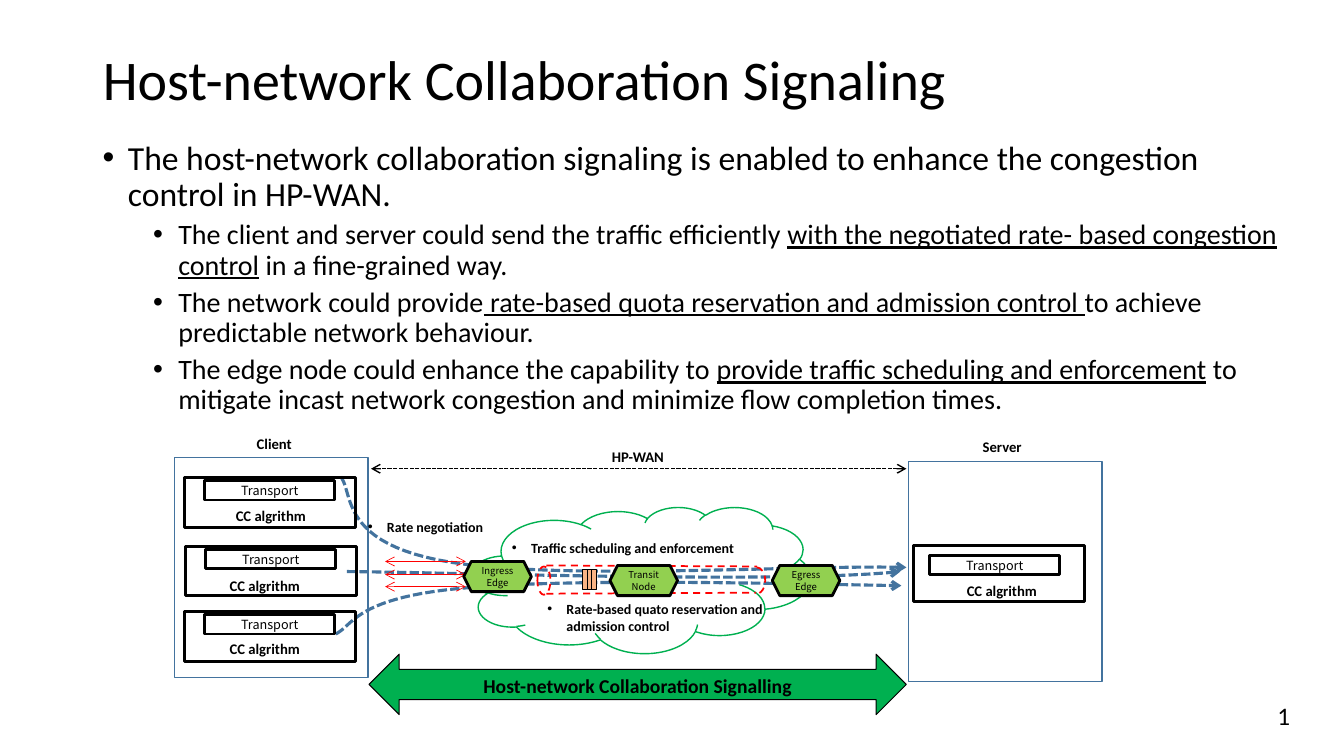
from pptx import Presentation
from pptx.dml.color import RGBColor
from pptx.enum.dml import MSO_LINE
from pptx.enum.shapes import MSO_CONNECTOR, MSO_SHAPE
from pptx.enum.text import MSO_ANCHOR, MSO_AUTO_SIZE, PP_ALIGN
from pptx.oxml.ns import qn
from pptx.util import Inches, Pt
from lxml.etree import SubElement

HUE = {"ink": "000000", "blue": "43739E", "green": "00B050",
       "lime": "92D050", "peach": "F9B485", "red": "FF0000"}
SANS, CJK = "Calibri", "Noto Sans CJK SC"
DOTS, DASH = MSO_LINE.SQUARE_DOT, MSO_LINE.DASH


class Board:
    def __init__(self, slide):
        self.slide = slide
        self.shapes = slide.shapes

    def stroke(self, line, hue, width, dash=None, head=False, tail=False):
        line.color.rgb = RGBColor.from_string(HUE[hue])
        line.width = Pt(width)
        if dash:
            line.dash_style = dash
        ln = line._get_or_add_ln()
        for tag, on in (("a:headEnd", head), ("a:tailEnd", tail)):
            if on:
                SubElement(ln, qn(tag), type="arrow")

    def style(self, para, size, bold=False, font=SANS, align=PP_ALIGN.LEFT):
        para.alignment = align
        for run in para.runs:
            run.font.name, run.font.size, run.font.bold = font, Pt(size), bold
            run.font.color.rgb = RGBColor.from_string(HUE["ink"])

    def bullet(self, para, left, hang):
        prop = para._p.get_or_add_pPr()
        prop.set("marL", str(Inches(left)))
        prop.set("indent", str(-Inches(hang)))
        SubElement(prop, qn("a:buFont"), typeface="Arial")
        SubElement(prop, qn("a:buChar"), char="•")

    def title(self, text, x, y, w, h):
        box = self.shapes.title
        box.left, box.top, box.width, box.height = map(Inches, (x, y, w, h))
        frame = box.text_frame
        frame.text = text
        frame.auto_size = MSO_AUTO_SIZE.NONE
        frame.vertical_anchor = MSO_ANCHOR.MIDDLE
        frame.paragraphs[0].line_spacing = 0.9
        self.style(frame.paragraphs[0], 40)

    def body(self, items, x, y, w, h):
        """Bulleted text; every second piece of an item is underlined."""
        frame = self.shapes.add_textbox(*map(Inches, (x, y, w, h))).text_frame
        frame.word_wrap = True
        for i, item in enumerate(items):
            para = frame.add_paragraph() if i else frame.paragraphs[0]
            for j, piece in enumerate(item):
                run = para.add_run()
                run.text = piece
                run.font.underline = j % 2 == 1
            para.line_spacing = 0.9
            para.space_before = Pt(5 if i else 10)
            self.style(para, 20 if i else 24)
            self.bullet(para, 0.75 if i else 0.25, 0.25)

    def label(self, text, x, y, w, h=0.28, size=10.5, bold=True,
              align=PP_ALIGN.LEFT, dot=False, wrap=True):
        frame = self.shapes.add_textbox(*map(Inches, (x, y, w, h))).text_frame
        frame.word_wrap = wrap
        frame.text = text
        self.style(frame.paragraphs[0], size, bold, align=align)
        if dot:
            self.bullet(frame.paragraphs[0], 0.19, 0.19)

    def shape(self, kind, x, y, w, h, hue="ink", width=2, fill=None, dash=None):
        item = self.shapes.add_shape(kind, *map(Inches, (x, y, w, h)))
        item.shadow.inherit = False
        if fill:
            item.fill.solid()
            item.fill.fore_color.rgb = RGBColor.from_string(HUE[fill])
        else:
            item.fill.background()
        self.stroke(item.line, hue, width, dash)
        return item

    def caption(self, item, text, size, font, pad, bold=False):
        frame = item.text_frame
        frame.word_wrap = True
        frame.margin_left = frame.margin_right = Inches(pad[0])
        frame.margin_top = frame.margin_bottom = Inches(pad[1])
        frame.text = text
        for para in frame.paragraphs:
            self.style(para, size, bold, font, PP_ALIGN.CENTER)
        return frame

    def line(self, x1, y1, x2, y2, hue, width, dash=None, ends=False):
        item = self.shapes.add_connector(
            MSO_CONNECTOR.STRAIGHT, *map(Inches, (x1, y1, x2, y2)))
        self.stroke(item.line, hue, width, dash, ends, ends)
        SubElement(item._element.spPr, qn("a:effectLst"))

    def curve(self, start, *parts):
        """Dashed flow arrow along cubic parts (two handles and an end)."""
        dots, steps = [], 24
        last = start
        for part in parts:
            knots = (last, *part)
            for i in range(1, steps + 1):
                t = i / steps
                rate = ((1 - t) ** 3, 3 * t * (1 - t) ** 2,
                        3 * t * t * (1 - t), t ** 3)
                dots.append(tuple(Inches(sum(r * k[a] for r, k in zip(rate, knots)))
                                  for a in (0, 1)))
            last = part[-1]
        trail = self.shapes.build_freeform(*map(Inches, start))
        trail.add_line_segments(dots, close=False)
        item = trail.convert_to_shape()
        item.shadow.inherit = False
        item.fill.background()
        self.stroke(item.line, "blue", 2.25, DOTS, tail=True)

    def stack(self, x, y, high, bar, note):
        """Host box with its transport bar and algorithm label."""
        self.shape(MSO_SHAPE.RECTANGLE, x, y, 1.7, high)
        item = self.shape(MSO_SHAPE.RECTANGLE, *bar, 1.29, 0.19)
        self.caption(item, "Transport", 9, CJK, (0.07, 0.04))
        self.label("CC algrithm", *note, 2.01)

    def node(self, text, x, y):
        item = self.shape(MSO_SHAPE.HEXAGON, x, y, 0.67, 0.3, fill="lime")
        self.caption(item, text, 6.8, CJK, (0, 0))


def main():
    deck = Presentation()
    deck.slide_width, deck.slide_height = Inches(13.33), Inches(7.5)
    board = Board(deck.slides.add_slide(deck.slide_layouts[5]))

    board.title("Host-network Collaboration Signaling", 0.92, 0.09, 11.5, 1.45)
    board.body([
        ["The host-network collaboration signaling is enabled to enhance the "
         "congestion control in HP-WAN."],
        ["The client and server could send the traffic efficiently ",
         "with the negotiated rate- based congestion control",
         " in a fine-grained way."],
        ["The network could provide",
         " rate-based quota reservation and admission control ",
         "to achieve predictable network behaviour."],
        ["The edge node could enhance the capability to ",
         "provide traffic scheduling and enforcement",
         " to mitigate incast network congestion and minimize flow "
         "completion times."],
    ], 0.92, 1.35, 11.95, 5.78)

    # Traffic flows through the cloud
    board.shape(MSO_SHAPE.CLOUD, 4.67, 5.03, 3.37, 1.45, "green", 1)
    board.curve((3.33, 6.29), ((3.51, 6.2), (3.53, 5.92), (4.65, 5.83)),
                ((5.77, 5.73), (8.11, 5.8), (8.94, 5.81)))
    board.curve((3.38, 4.73), ((3.51, 4.9), (3.36, 5.4), (4.48, 5.58)),
                ((5.6, 5.76), (8.07, 5.6), (8.99, 5.63)))
    board.curve((3.44, 5.67), ((4.54, 5.68), (7.83, 5.79), (8.93, 5.67)))

    # Hosts
    for x, y, name, left, top in ((1.73, 4.54, "Client", 1.9, 4.26),
                                  (9.01, 4.58, "Server", 9.12, 4.29)):
        board.shape(MSO_SHAPE.RECTANGLE, x, y, 1.92, 2.18, "blue", 1)
        board.label(name, left, top, 1.64, align=PP_ALIGN.CENTER)
    board.stack(1.83, 4.74, 0.49, (2.03, 4.77), (2.24, 4.98))
    board.stack(1.84, 5.42, 0.49, (2.04, 5.45), (2.18, 5.67))
    board.stack(1.83, 6.07, 0.49, (2.03, 6.1), (2.18, 6.3))
    board.stack(9.06, 5.41, 0.56, (9.22, 5.51), (9.49, 5.72))

    # Network span, queue and reserved pipe
    board.line(8.99, 4.65, 3.68, 4.65, "ink", 1, DOTS, True)
    board.label("HP-WAN", 5.97, 4.39, 2.01)
    for x in (5.78, 5.83, 5.87):
        board.shape(MSO_SHAPE.RECTANGLE, x, 5.65, 0.05, 0.2,
                    width=0.75, fill="peach")
    board.shape(MSO_SHAPE.OVAL, 5.33, 5.62, 0.13, 0.28, "red", 1.25, dash=DASH)
    board.line(5.42, 5.89, 7.5, 5.88, "red", 1.25, DASH)
    board.line(5.42, 5.61, 7.51, 5.62, "red", 1.25, DASH)
    arc = board.shape(MSO_SHAPE.ARC, 7.42, 5.63, 0.17, 0.26, "red", 1.25, dash=DASH)
    arc.adjustments[0], arc.adjustments[1] = 162, 56.22

    for y in (5.57, 5.7, 5.82):
        board.line(3.82, y, 4.62, y, "red", 0.5, ends=True)
    board.node("Ingress\nEdge", 4.6, 5.57)
    board.node("Transit Node", 6.05, 5.61)
    board.node("Egress\nEdge", 7.66, 5.61)

    for text, x, y, w, h in (
            ("Rate negotiation", 3.55, 5.09, 2.53, 0.27),
            ("Traffic scheduling and enforcement", 4.98, 5.3, 3.67, 0.27),
            ("Rate-based quato reservation and admission control",
             5.33, 5.91, 2.53, 0.44)):
        board.label(text, x, y, w, h, 10, dot=True)

    band = board.shape(MSO_SHAPE.LEFT_RIGHT_ARROW, 3.66, 6.49, 5.33, 0.6,
                       width=0.75, fill="green")
    frame = board.caption(band, "Host-network Collaboration Signalling", 14, SANS,
                          (0.1, 0.05), True)
    frame.vertical_anchor = MSO_ANCHOR.TOP
    board.label("1", 12.57, 6.9, 0.33, 0.4, 18, False, wrap=False)
    deck.save("out.pptx")


if __name__ == "__main__":
    main()
